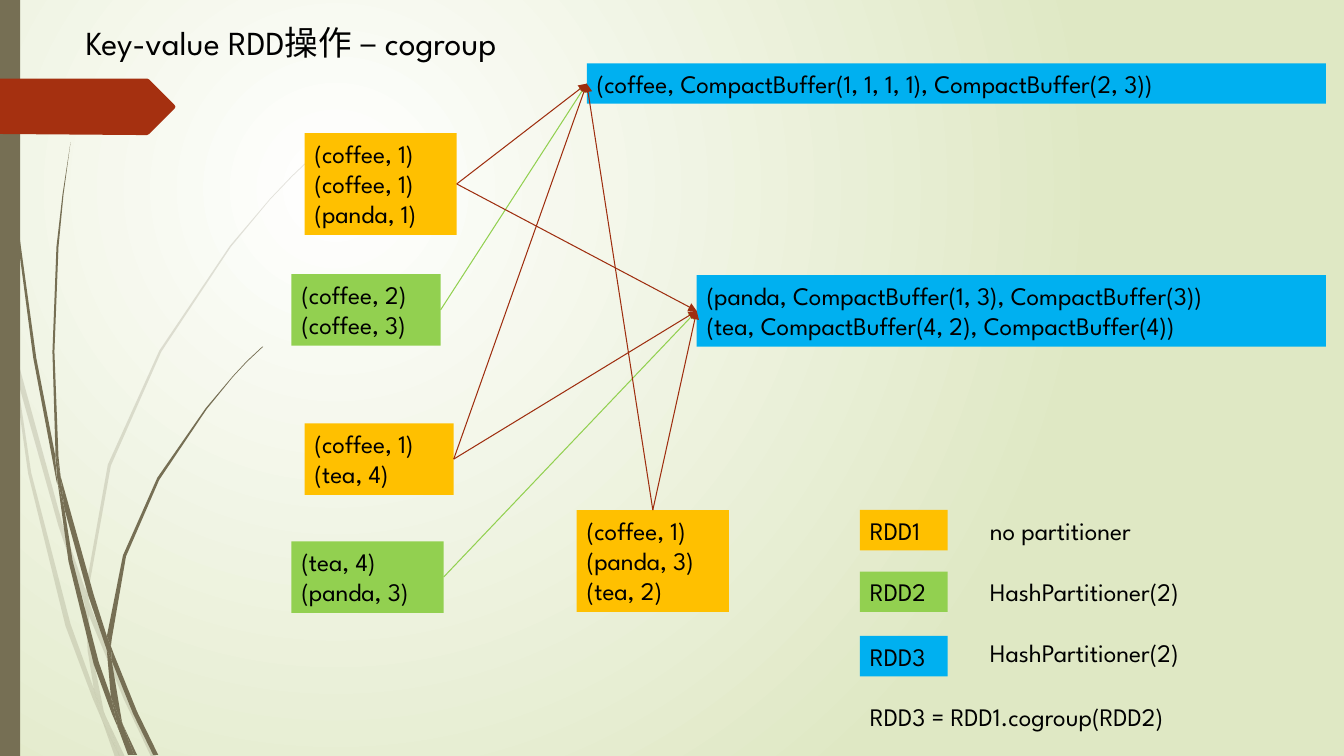
from dataclasses import dataclass

from lxml.etree import Element, SubElement
from pptx import Presentation
from pptx.dml.color import RGBColor
from pptx.enum.shapes import MSO_CONNECTOR, MSO_SHAPE
from pptx.enum.text import MSO_ANCHOR, PP_ALIGN
from pptx.oxml.ns import qn
from pptx.util import Inches, Pt

FONT = "League Spartan"
BLACK, OLIVE, RUST, MAROON = "000000", "766F54", "A53010", "9E2E0F"
AMBER, GREEN, BLUE = "FFC000", "92D050", "00B0F0"
TOP, LEFT, RIGHT = 0, 1, 3

Point = tuple[float, float]


@dataclass
class Box:
    text: str
    x: float
    y: float
    w: float
    h: float
    fill: str | None = None
    size: int = 18


@dataclass
class Link:
    source: str
    side: int
    target: str
    tint: str


@dataclass
class Grass:
    alpha: int
    blades: list[list[Point]]


@dataclass
class Key:
    name: str
    note: str
    fill: str
    y: float
    note_y: float


PALE = Grass(20, [
    [(0.11, 3.5), (0.09, 3.22), (0, 2.82), (0, 2.99), (0.1, 3.44)],
    [(0.58, 5.22), (0.84, 5.99), (0.85, 5.86), (0.62, 5.2), (0.14, 3.45), (0.17, 3.76)],
    [(0.92, 6.07), (0.88, 5.96), (0.88, 6.1), (1.23, 6.94), (1.5, 7.51), (1.55, 7.51), (1.27, 6.92)],
    [(1.19, 7.51), (1.24, 7.51), (1.05, 7.11)],
    [(0.93, 6.83), (0.7, 6.19), (0.31, 4.69), (0.17, 3.76), (0.11, 3.5), (0.28, 4.7), (0.65, 6.21),
     (0.92, 6.93), (1.01, 7.14), (0.99, 7.07)],
    [(0.84, 5.99), (0.87, 6.46), (0.93, 6.83), (0.96, 6.92), (1.05, 7.11), (1.03, 7.06), (0.91, 6.46),
     (0.88, 6.1), (0.88, 6.08)],
    [(0.88, 5.84), (1.1, 4.62), (1.6, 3.49), (2.29, 2.45), (2.68, 1.98), (2.9, 1.75), (3.12, 1.54),
     (3.12, 1.53), (2.89, 1.75), (2.68, 1.97), (2.28, 2.44), (1.58, 3.48), (1.07, 4.61), (0.85, 5.84),
     (0.85, 5.86), (0.88, 5.96)],
    [(1.01, 7.14), (1.14, 7.51), (1.19, 7.51)],
    [(0.88, 6.08), (0.88, 6.1), (0.88, 5.96), (0.85, 5.86), (0.84, 5.99)],
    [(0.96, 6.92), (0.93, 6.83), (0.99, 7.07), (1.01, 7.14), (1.19, 7.51), (1.05, 7.11)],
])
DARK = Grass(100, [
    [(0.07, 1.1), (0.17, 2.33), (0.33, 3.55), (0.56, 4.77), (0.57, 4.81), (0.55, 4.57), (0.55, 4.53),
     (0.36, 3.55), (0.19, 2.32), (0.08, 1.09), (0.05, 0.48), (0.04, 0), (0.03, 0), (0.04, 0.48)],
    [(0.88, 5.92), (1.06, 6.45), (1.06, 6.33), (1.06, 6.31), (0.93, 5.9), (0.6, 4.72), (0.64, 5.05)],
    [(1.13, 6.49), (1.1, 6.41), (1.11, 6.56), (1.32, 7.08), (1.52, 7.49), (1.57, 7.49), (1.36, 7.06)],
    [(1.1, 6.91), (0.98, 6.57), (0.72, 5.56), (0.64, 5.05), (0.57, 4.77), (0.68, 5.57), (0.93, 6.59),
     (1.11, 7.08), (1.17, 7.22), (1.16, 7.17)],
    [(0.6, 4.72), (0.58, 4.53), (0.54, 3.49), (0.58, 2.45), (0.63, 1.93), (0.7, 1.41), (0.62, 1.93),
     (0.56, 2.45), (0.52, 3.49), (0.55, 4.49)],
    [(1.33, 7.49), (1.36, 7.49), (1.22, 7.19)],
    [(0.57, 4.77), (0.64, 5.05), (0.6, 4.72), (0.55, 4.49), (0.55, 4.53)],
    [(1.11, 6.33), (1.25, 5.52), (1.58, 4.76), (2.05, 4.06), (2.31, 3.74), (2.45, 3.59), (2.61, 3.44),
     (2.6, 3.44), (2.45, 3.58), (2.31, 3.73), (2.04, 4.05), (1.56, 4.74), (1.22, 5.51), (1.06, 6.31),
     (1.1, 6.41)],
    [(1.17, 7.22), (1.27, 7.49), (1.31, 7.49)],
    [(1.06, 6.45), (1.1, 6.91), (1.16, 7.06), (1.22, 7.19), (1.21, 7.16), (1.11, 6.56), (1.09, 6.51)],
    [(1.06, 6.45), (1.09, 6.51), (1.11, 6.56), (1.1, 6.41), (1.06, 6.31), (1.06, 6.33)],
    [(1.16, 7.06), (1.1, 6.91), (1.16, 7.17), (1.17, 7.22), (1.3, 7.49), (1.33, 7.49), (1.22, 7.19)],
])
TAG = [(1.73, 1.08), (1.48, 1.33), (1.46, 1.34), (1.36, 1.34), (0, 1.33), (0, 0.78), (1.36, 0.78),
       (1.46, 0.78), (1.48, 0.79), (1.73, 1.04), (1.74, 1.06)]

TITLE = Box("Key-value RDD操作 – cogroup", 0.75, 0.17, 5.07, 0.5, size=24)
PARTS = {
    "one": Box("(coffee, 1)\n(coffee, 1)\n(panda, 1)", 3.02, 1.32, 1.51, 1.01, AMBER),
    "two": Box("(coffee, 1)\n(tea, 4)", 3.02, 4.2, 1.48, 0.71, AMBER),
    "three": Box("(coffee, 1)\n(panda, 3)\n(tea, 2)", 5.72, 5.06, 1.51, 1.01, AMBER),
    "coffee": Box("(coffee, CompactBuffer(1, 1, 1, 1), CompactBuffer(2, 3))",
                  5.82, 0.63, 7.33, 0.4, BLUE),
    "panda": Box("(panda, CompactBuffer(1, 3), CompactBuffer(3))\n"
                 "(tea, CompactBuffer(4, 2), CompactBuffer(4))", 6.91, 2.73, 6.24, 0.71, BLUE),
    "hash one": Box("(coffee, 2)\n(coffee, 3)", 2.89, 2.72, 1.48, 0.71, GREEN),
    "hash two": Box("(tea, 4)\n(panda, 3)", 2.89, 5.37, 1.51, 0.71, GREEN),
}
LINKS = [Link("hash one", RIGHT, "coffee", GREEN), Link("hash two", RIGHT, "panda", GREEN)]
LINKS += [Link(source, side, target, MAROON) for target in ("coffee", "panda")
          for source, side in (("one", RIGHT), ("two", RIGHT), ("three", TOP))]
KEYS = [
    Key("RDD1", "no partitioner", AMBER, 5.06, 5.06),
    Key("RDD2", "HashPartitioner(2)", GREEN, 5.67, 5.67),
    Key("RDD3", "HashPartitioner(2)", BLUE, 6.31, 6.27),
]
SUM = Box("RDD3 = RDD1.cogroup(RDD2)", 8.53, 6.91, 3.82, 0.4)


def shade(value: str) -> RGBColor:
    return RGBColor.from_string(value)


def paint(shape, fill: str) -> None:
    shape.shadow.inherit = False
    shape.fill.solid()
    shape.fill.fore_color.rgb = shade(fill)
    shape.line.fill.background()


def draw_form(slide, points: list[Point], fill: str, alpha: int = 100) -> None:
    spots = [(Inches(x), Inches(y)) for x, y in points]
    pen = slide.shapes.build_freeform(*spots[0])
    pen.add_line_segments(spots[1:], close=True)
    shape = pen.convert_to_shape()
    paint(shape, fill)
    if alpha < 100:
        tint = shape.element.spPr.find(qn("a:solidFill"))[0]
        SubElement(tint, qn("a:alpha"), val=str(alpha * 1000))


def draw_box(slide, box: Box):
    place = [Inches(n) for n in (box.x, box.y, box.w, box.h)]
    if box.fill:
        shape = slide.shapes.add_shape(MSO_SHAPE.RECTANGLE, *place)
        paint(shape, box.fill)
    else:
        shape = slide.shapes.add_textbox(*place)
    frame = shape.text_frame
    frame.text = box.text
    frame.word_wrap = False
    frame.vertical_anchor = MSO_ANCHOR.TOP
    for line in frame.paragraphs:
        line.alignment = PP_ALIGN.LEFT
        for run in line.runs:
            run.font.name = FONT
            run.font.size = Pt(box.size)
            run.font.color.rgb = shade(BLACK)
    return shape


def draw_link(slide, link: Link, shapes: dict) -> None:
    arrow = slide.shapes.add_connector(MSO_CONNECTOR.STRAIGHT, 0, 0, 0, 0)
    arrow.begin_connect(shapes[link.source], link.side)
    arrow.end_connect(shapes[link.target], LEFT)
    arrow.line.color.rgb = shade(link.tint)
    arrow.line.width = Pt(0.75)
    props = arrow.element.spPr
    SubElement(props.find(qn("a:ln")), qn("a:tailEnd"), type="triangle")
    SubElement(props, qn("a:effectLst"))


def draw_back(slide) -> None:
    fill = slide.background.fill
    fill.gradient()
    for stop, tint in zip(fill.gradient_stops, ("FFFFFF", "DFE8C4")):
        stop.color.rgb = shade(tint)
    blend = slide.element.find(".//" + qn("a:gradFill"))
    glow = Element(qn("a:path"), path="circle")
    SubElement(glow, qn("a:fillToRect"), l="50000", t="50000", r="100000", b="100000")
    blend.replace(blend.find(qn("a:lin")), glow)


def main() -> None:
    deck = Presentation()
    deck.slide_width, deck.slide_height = Inches(13.33), Inches(7.5)
    slide = deck.slides.add_slide(deck.slide_layouts[6])
    draw_back(slide)
    for grass in (PALE, DARK):
        for blade in grass.blades:
            draw_form(slide, blade, OLIVE, grass.alpha)
    draw_box(slide, Box("", 0, 0, 0.2, 7.5, OLIVE))
    draw_form(slide, TAG, RUST)
    draw_box(slide, TITLE)
    shapes = {name: draw_box(slide, box) for name, box in PARTS.items()}
    for link in LINKS:
        draw_link(slide, link, shapes)
    for key in KEYS:
        draw_box(slide, Box(key.name, 8.53, key.y, 0.87, 0.4, key.fill))
        draw_box(slide, Box(key.note, 9.72, key.note_y, 2.35, 0.4))
    draw_box(slide, SUM)
    deck.save("out.pptx")


if __name__ == "__main__":
    main()
